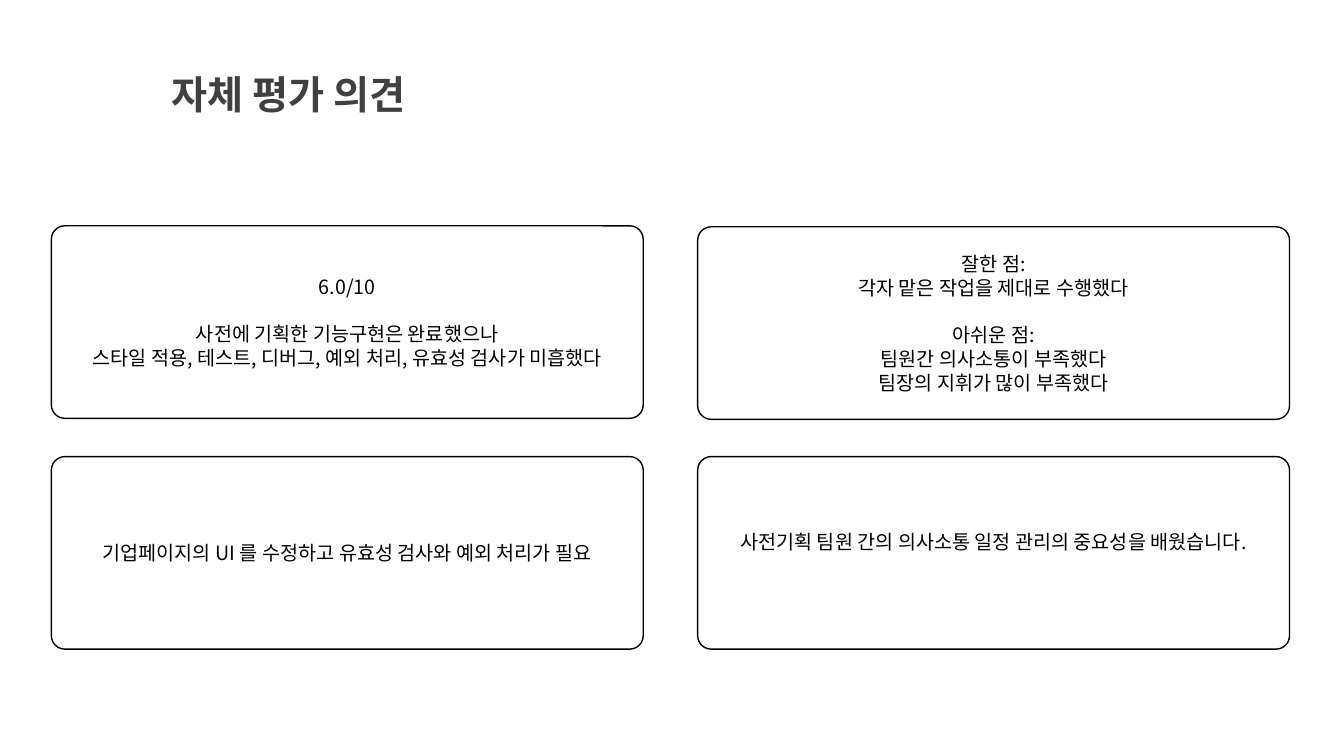
"""Build the self-evaluation slide: a title and four rounded opinion boxes."""
from pptx import Presentation, util as u
from pptx.dml.color import RGBColor
from pptx.enum import shapes, text
from lxml import etree

FONT = "Noto Sans CJK KR"
WHITE = RGBColor(255, 255, 255)
BLACK = RGBColor(0, 0, 0)
GRAY = RGBColor(0x40, 0x40, 0x40)
NS = "{http://schemas.openxmlformats.org/drawingml/2006/main}"


def write(frame, groups, size=14, color=BLACK, bold=False,
          align=text.PP_ALIGN.CENTER, pitch=17):
    """Write groups of lines, one line height apart."""
    frame.word_wrap = True
    frame.auto_size = text.MSO_AUTO_SIZE.NONE
    frame.vertical_anchor = text.MSO_ANCHOR.MIDDLE
    para = None
    for group in groups:
        for num, line in enumerate(group):
            gap = pitch if para is not None and num == 0 else 0
            para = frame.paragraphs[0] if para is None else frame.add_paragraph()
            para.alignment = align
            para.line_spacing = u.Pt(pitch)
            para.space_before = u.Pt(gap)
            run = para.add_run()
            run.text = line
            run.font.name = FONT
            run.font.size = u.Pt(size)
            run.font.bold = bold
            run.font.color.rgb = color
            etree.SubElement(run.font._element, NS + "ea", typeface=FONT)


deck = Presentation()
deck.slide_width, deck.slide_height = u.Inches(13.33), u.Inches(7.5)
slide = deck.slides.add_slide(deck.slide_layouts[5])

title = slide.shapes.title
title.left, title.top = u.Inches(1.6), u.Inches(0.64)
title.width, title.height = u.Inches(5.32), u.Inches(0.57)
write(title.text_frame, [["자체 평가 의견"]], size=28, color=GRAY, bold=True,
      align=text.PP_ALIGN.LEFT, pitch=34)

LEFT, RIGHT, LOW = 0.51, 6.92, 4.53
boxes = [
    (LEFT, 2.24, 0.05, [
        ["6.0/10"],
        ["사전에 기획한 기능구현은 완료했으나",
         "스타일 적용, 테스트, 디버그, 예외 처리, 유효성 검사가 미흡했다"]]),
    (LEFT, LOW, 0.05, [["기업페이지의 UI 를 수정하고 유효성 검사와 예외 처리가 필요"]]),
    (RIGHT, LOW, 0.28, [["사전기획 팀원 간의 의사소통 일정 관리의 중요성을 배웠습니다."]]),
    (RIGHT, 2.25, 0.05, [
        ["잘한 점:", "각자 맡은 작업을 제대로 수행했다"],
        ["아쉬운 점:", "팀원간 의사소통이 부족했다", "팀장의 지휘가 많이 부족했다"]]),
]
for x, y, inset, groups in boxes:
    box = slide.shapes.add_shape(
        shapes.MSO_SHAPE.ROUNDED_RECTANGLE,
        u.Inches(x), u.Inches(y), u.Inches(5.87), u.Inches(1.91))
    box.adjustments[0] = 0.07
    box.shadow.inherit = False
    box.fill.solid()
    box.fill.fore_color.rgb = WHITE
    box.line.color.rgb = BLACK
    box.line.width = u.Pt(1)
    box.text_frame.margin_bottom = u.Inches(inset)
    write(box.text_frame, groups)

deck.save("out.pptx")
